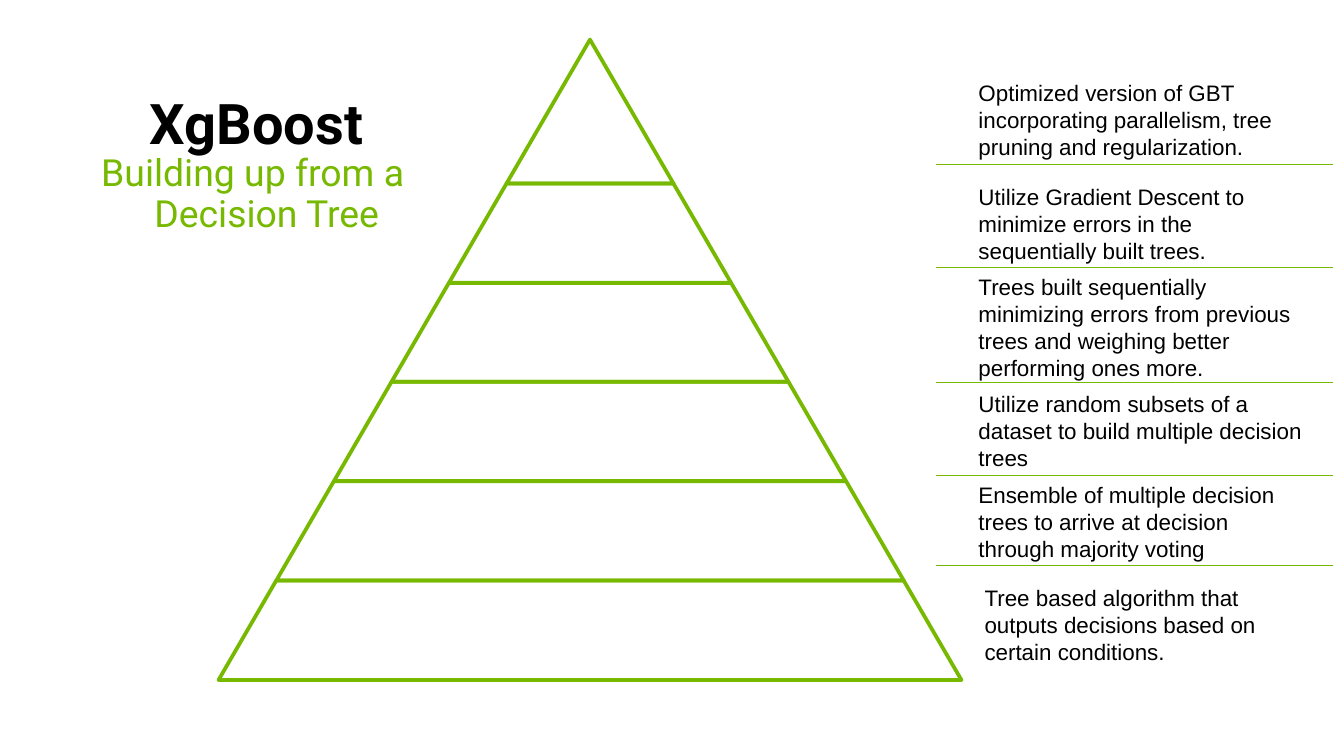
"""Build a slide with a six-tier pyramid and a note for each step from a decision tree to XgBoost."""
from lxml import etree
from pptx import Presentation
from pptx.dml.color import RGBColor
from pptx.enum.shapes import MSO_CONNECTOR, MSO_SHAPE
from pptx.enum.text import MSO_ANCHOR, MSO_AUTO_SIZE, PP_ALIGN
from pptx.oxml.ns import qn
from pptx.util import Pt

TRAP = MSO_SHAPE.TRAPEZOID
LINE = MSO_CONNECTOR.STRAIGHT
GROW, FIXED = MSO_AUTO_SIZE.SHAPE_TO_FIT_TEXT, MSO_AUTO_SIZE.NONE
TOP, BOTTOM = MSO_ANCHOR.TOP, MSO_ANCHOR.BOTTOM
MID, LEFT = PP_ALIGN.CENTER, PP_ALIGN.LEFT

PX = 4572
WIDE, HIGH = 2000, 1125
GREEN, BLACK = RGBColor(0x76, 0xB9, 0x00), RGBColor(0, 0, 0)
THEME = {
    "title": {"name": "Roboto", "size": Pt(30), "bold": True, "color": BLACK},
    "sub": {"name": "Roboto", "size": Pt(20), "bold": False, "color": GREEN},
    "note": {"name": "Arial", "size": Pt(12), "bold": False, "color": BLACK},
    "edge": Pt(2),
    "rule": Pt(0.75),
}
INSET = {"margin_left": 15 * PX, "margin_right": 15 * PX,
         "margin_top": 8 * PX, "margin_bottom": 8 * PX, "word_wrap": True}

HEADS = [
    ("title", "XgBoost ", (91, 133, 602, 108), BOTTOM),
    ("sub", "Building up from a Decision Tree", (54, 222, 602, 96), TOP),
]
NOTES = [
    ("Optimized version of GBT incorporating parallelism, tree pruning and regularization.", 1441, 110, 134),
    ("Utilize Gradient Descent to minimize errors in the sequentially built trees.", 1441, 265, 134),
    ("Trees built sequentially minimizing errors from previous trees and weighing better "
     "performing ones more.", 1441, 399, 174),
    ("Utilize random subsets of a dataset to build multiple decision trees", 1441, 573, 134),
    ("Ensemble of multiple decision trees to arrive at decision through majority voting", 1441, 708, 134),
    ("Tree based algorithm that outputs decisions based on certain conditions.", 1450, 861, 134),
]
RULES = [245, 398, 569, 708, 842]
RULE_X = (1393, 1984)
TIERS = [59, 273, 421, 568, 716, 864, 1012]
AXIS, SLOPE = 878, 0.58


def emu(*nums):
    return [round(num * PX) for num in nums]


def apply(item, vals):
    for key, val in vals.items():
        setattr(item, key, val)


def add_text(slide, kind, text, box, anchor=TOP, align=LEFT, fit=FIXED):
    frame = slide.shapes.add_textbox(*emu(*box)).text_frame
    apply(frame, {**INSET, "vertical_anchor": anchor, "auto_size": fit})
    para = frame.paragraphs[0]
    para.alignment = align
    run = para.add_run()
    run.text = text
    font = dict(THEME[kind])
    run.font.color.rgb = font.pop("color")
    apply(run.font, font)
    return para


def add_tiers(slide):
    group = slide.shapes.add_group_shape()
    for top, base in zip(TIERS, TIERS[1:]):
        half = SLOPE * (base - TIERS[0])
        tier = group.shapes.add_shape(TRAP, *emu(AXIS - half, top, 2 * half, base - top))
        tier.adjustments[0] = SLOPE
        tier.shadow.inherit = False
        tier.fill.background()
        tier.line.color.rgb = GREEN
        tier.line.width = THEME["edge"]


def add_rule(slide, y):
    rule = slide.shapes.add_connector(LINE, *emu(RULE_X[0], y, RULE_X[1], y))
    rule.line.color.rgb = GREEN
    rule.line.width = THEME["rule"]
    etree.SubElement(rule._element.spPr, qn("a:effectLst"))


def main():
    deck = Presentation()
    deck.slide_width, deck.slide_height = emu(WIDE, HIGH)
    slide = deck.slides.add_slide(deck.slide_layouts[6])
    add_tiers(slide)
    for text, left, top, high in NOTES:
        add_text(slide, "note", text, (left, top, 518, high), fit=GROW)
    for kind, text, box, anchor in HEADS:
        para = add_text(slide, kind, text, box, anchor, MID)
        para.line_spacing = 0.9
        if kind == "sub":
            props = para._p.get_or_add_pPr()
            for key, num in (("marL", 84), ("indent", -42)):
                props.set(key, str(num * PX))
    for y in RULES:
        add_rule(slide, y)
    deck.save("out.pptx")


if __name__ == "__main__":
    main()
